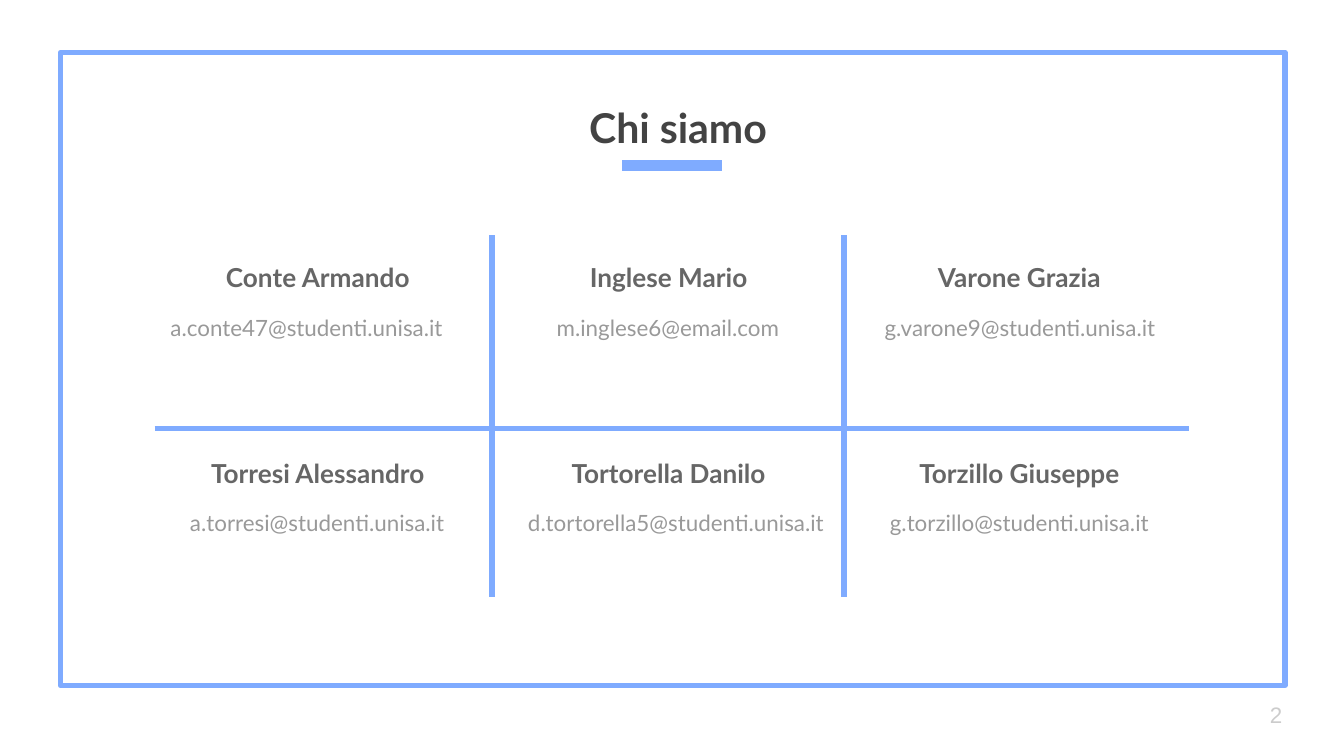
from dataclasses import dataclass

from lxml import etree
from pptx import Presentation
from pptx.dml.color import RGBColor
from pptx.enum.shapes import MSO_CONNECTOR, MSO_SHAPE
from pptx.enum.text import MSO_ANCHOR, MSO_AUTO_SIZE, PP_ALIGN
from pptx.oxml.ns import qn
from pptx.util import Inches, Pt

STRAIGHT = MSO_CONNECTOR.STRAIGHT
RECTANGLE = MSO_SHAPE.RECTANGLE
TOP, MIDDLE, BOTTOM = MSO_ANCHOR.TOP, MSO_ANCHOR.MIDDLE, MSO_ANCHOR.BOTTOM
LEFT, CENTER = PP_ALIGN.LEFT, PP_ALIGN.CENTER
NO_FIT = MSO_AUTO_SIZE.NONE

CELL = Inches(0.1)
SLIDE_COLS, SLIDE_ROWS = 100, 56.25


@dataclass(frozen=True)
class Theme:
    accent: str = "7FABFF"
    title: str = "434343"
    name: str = "666666"
    email: str = "999999"
    number: str = "CCCCCC"
    font: str = "Lato"
    number_font: str = "Arial"
    title_size: float = 22
    name_size: float = 14
    small_size: float = 12
    frame_line: float = 3
    row_line: float = 2.25
    underline: float = 6


@dataclass(frozen=True)
class Box:
    col: float
    row: float
    cols: float
    rows: float


@dataclass(frozen=True)
class Line:
    start: tuple[float, float]
    end: tuple[float, float]
    weight: float


@dataclass(frozen=True)
class Member:
    name: str
    email: str
    col: int
    row: int
    email_col: float
    email_cols: float
    align: PP_ALIGN = CENTER


THEME = Theme()
NAME_COL, NAME_ROW, NAME_COLS, TEXT_ROWS = 12.1, 15.7, 23.1, 7.1
COL_PITCH, ROW_PITCH = 26.1, 14.55
EMAIL_DROP = 6.65
MIDLINE = 31.9

FRAME = Box(4.5, 3.9, 91.1, 47.1)
TITLE = Box(8.5, 7, 83.9, 5.3)
NUMBER = Box(93.5, 51, 6, 4.3)

LINES = [
    Line((11.5, MIDLINE), (88.5, MIDLINE), THEME.frame_line),
    *(Line((x, 17.5), (x, 44.4), THEME.frame_line) for x in (36.6, 62.8)),
    Line((46.3, 12.3), (53.7, 12.3), THEME.underline),
    *(Line((12.6 + 26 * i, MIDLINE), (35.1 + 26 * i, MIDLINE), THEME.row_line)
      for i in range(3)),
]

MEMBERS = [
    Member("Conte Armando", "a.conte47@studenti.unisa.it", 0, 0, 11.7, 23.8, LEFT),
    Member("Inglese Mario", "m.inglese6@email.com", 1, 0, 37.8, 23.8),
    Member("Varone Grazia", "g.varone9@studenti.unisa.it", 2, 0, 63.2, 25.4),
    Member("Torresi Alessandro", "a.torresi@studenti.unisa.it", 0, 1, 10.7, 25.8),
    Member("Tortorella Danilo", "d.tortorella5@studenti.unisa.it", 1, 1, 37.4, 25.8),
    Member("Torzillo Giuseppe", "g.torzillo@studenti.unisa.it", 2, 1, 64.3, 23.1),
]


def units(cells: float) -> int:
    return round(cells * CELL)


def bounds(box: Box) -> tuple[int, ...]:
    return tuple(units(v) for v in (box.col, box.row, box.cols, box.rows))


def write(sp, text: str, *, size: float, color: str, font: str = THEME.font,
          bold: bool = False, align: PP_ALIGN = CENTER,
          anchor: MSO_ANCHOR = TOP) -> None:
    tf = sp.text_frame
    tf.word_wrap = True
    tf.auto_size = NO_FIT
    tf.vertical_anchor = anchor
    tf.margin_left = tf.margin_right = tf.margin_top = tf.margin_bottom = CELL
    p = tf.paragraphs[0]
    p.alignment = align
    r = p.add_run()
    r.text = text
    r.font.name = font
    r.font.size = Pt(size)
    r.font.bold = bold
    r.font.color.rgb = RGBColor.from_string(color)


def add_text(slide, box: Box, text: str, **style) -> None:
    write(slide.shapes.add_textbox(*bounds(box)), text, **style)


def set_title(slide, text: str) -> None:
    sp = slide.shapes.title
    sp.left, sp.top, sp.width, sp.height = bounds(TITLE)
    write(sp, text, size=THEME.title_size, color=THEME.title, bold=True,
          anchor=BOTTOM)


def add_frame(slide) -> None:
    sp = slide.shapes.add_shape(RECTANGLE, *bounds(FRAME))
    sp.shadow.inherit = False
    sp.fill.background()
    sp.line.color.rgb = RGBColor.from_string(THEME.accent)
    sp.line.width = Pt(THEME.frame_line)
    etree.SubElement(sp.line._get_or_add_ln(), qn("a:round"))


def add_line(slide, line: Line) -> None:
    ends = (units(v) for v in (*line.start, *line.end))
    cxn = slide.shapes.add_connector(STRAIGHT, *ends)
    cxn.line.color.rgb = RGBColor.from_string(THEME.accent)
    cxn.line.width = Pt(line.weight)
    etree.SubElement(cxn._element.spPr, qn("a:effectLst"))


def add_member(slide, member: Member) -> None:
    row = NAME_ROW + member.row * ROW_PITCH
    name_box = Box(NAME_COL + member.col * COL_PITCH, row, NAME_COLS, TEXT_ROWS)
    email_box = Box(member.email_col, row + EMAIL_DROP, member.email_cols, TEXT_ROWS)
    add_text(slide, name_box, member.name, size=THEME.name_size,
             color=THEME.name, bold=True, anchor=BOTTOM)
    add_text(slide, email_box, member.email, size=THEME.small_size,
             color=THEME.email, align=member.align)


def main() -> None:
    prs = Presentation()
    prs.slide_width = units(SLIDE_COLS)
    prs.slide_height = units(SLIDE_ROWS)
    slide = prs.slides.add_slide(prs.slide_layouts.get_by_name("Title Only"))
    set_title(slide, "Chi siamo")
    add_frame(slide)
    for line in LINES:
        add_line(slide, line)
    add_text(slide, NUMBER, "2", size=THEME.small_size, color=THEME.number,
             font=THEME.number_font, align=LEFT, anchor=MIDDLE)
    for member in MEMBERS:
        add_member(slide, member)
    prs.save("out.pptx")


if __name__ == "__main__":
    main()
